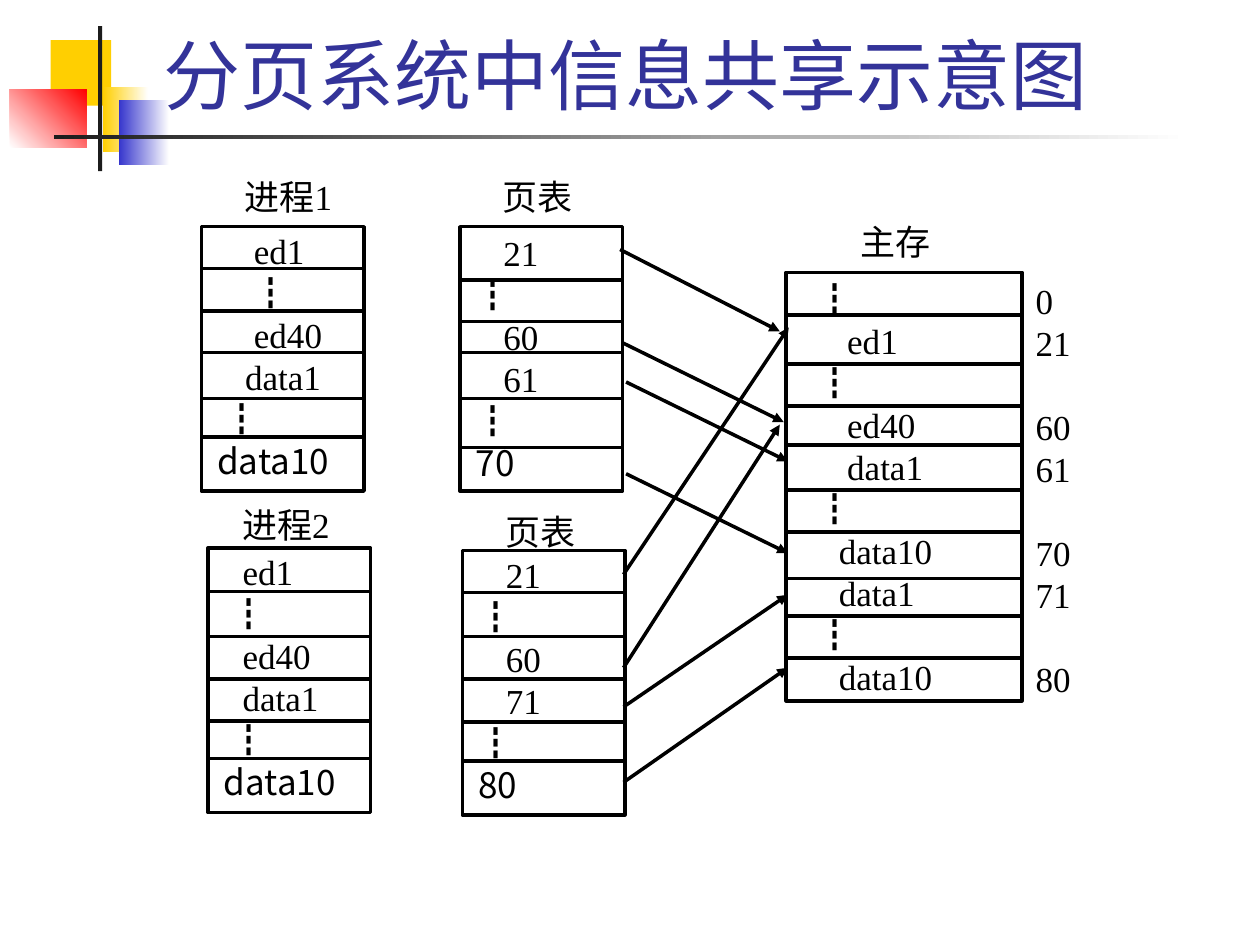
from collections import namedtuple
from dataclasses import dataclass

from lxml import etree
from pptx import Presentation
from pptx import util as u
from pptx.dml.color import RGBColor
from pptx.enum import shapes, text
from pptx.oxml.ns import qn


@dataclass(frozen=True)
class Theme:
    ink: str = "000000"
    paper: str = "FFFFFF"
    title: str = "333399"
    yellow: str = "FFCF01"
    blue: str = "3333CC"
    red: str = "FF0000"
    bar: str = "1C1C1C"
    title_font: str = "Cabin"
    serif: str = "Times New Roman"
    sans: str = "Noto Sans CJK SC"
    title_size: int = 44
    body_size: int = 20
    line_pitch: int = 24
    line_width: int = 2


THEME = Theme()
Row = namedtuple("Row", "text indent font space_before", defaults=(0, THEME.serif, 0))
Block = namedtuple("Block", "label label_at box inset rules rows")


def dots(indent):
    return Row("┇", indent, THEME.sans)


def last(label):
    return Row(label, 0.32, THEME.sans)


class SlideBuilder:
    def __init__(self, slide, theme):
        self.slide = slide
        self.theme = theme

    def fill_text(self, frame, rows, size, color, pitch=None):
        """Fill a text frame with one paragraph per row."""
        frame.word_wrap = True
        for index, row in enumerate(rows):
            paragraph = frame.add_paragraph() if index else frame.paragraphs[0]
            paragraph.text = row.text
            paragraph.alignment = text.PP_ALIGN.JUSTIFY if pitch else text.PP_ALIGN.LEFT
            if pitch:
                paragraph.line_spacing = u.Pt(pitch)
            if row.space_before:
                paragraph.space_before = u.Pt(row.space_before)
            properties = paragraph._p.get_or_add_pPr()
            properties.set("marL", str(u.Cm(row.indent)))
            properties.set("indent", "0")
            font = paragraph.font
            font.name = row.font
            font.size = u.Pt(size)
            font.color.rgb = RGBColor.from_string(color)
            east_asian = etree.SubElement(properties.find(qn("a:defRPr")), qn("a:ea"))
            east_asian.set("typeface", self.theme.sans)

    def rectangle(self, box, fill, end=None, angle=0):
        """Draw a plain rectangle, fading from fill to end if end is given."""
        shape = self.slide.shapes.add_shape(
            shapes.MSO_SHAPE.RECTANGLE, *map(u.Cm, box))
        shape.shadow.inherit = False
        shape.line.fill.background()
        if end:
            shape.fill.gradient()
            shape.fill.gradient_angle = angle
            for stop, color in zip(shape.fill.gradient_stops, (fill, end)):
                stop.color.rgb = RGBColor.from_string(color)
        else:
            shape.fill.solid()
            shape.fill.fore_color.rgb = RGBColor.from_string(fill)
        return shape

    def text_box(self, box, rows):
        frame = self.slide.shapes.add_textbox(*map(u.Cm, box)).text_frame
        frame.margin_left = frame.margin_right = 0
        frame.margin_top = frame.margin_bottom = 0
        self.fill_text(frame, rows, self.theme.body_size, self.theme.ink,
                       self.theme.line_pitch)

    def title(self, box, label):
        frame = self.slide.shapes.add_textbox(*map(u.Cm, box)).text_frame
        frame.vertical_anchor = text.MSO_ANCHOR.BOTTOM
        self.fill_text(frame, [Row(label, font=self.theme.title_font)],
                       self.theme.title_size, self.theme.title)

    def line(self, start, end, arrow=False):
        connector = self.slide.shapes.add_connector(
            shapes.MSO_CONNECTOR.STRAIGHT, *map(u.Cm, (*start, *end)))
        connector.line.color.rgb = RGBColor.from_string(self.theme.ink)
        connector.line.width = u.Pt(self.theme.line_width)
        if arrow:
            head = etree.SubElement(connector.line._get_or_add_ln(), qn("a:tailEnd"))
            head.set("type", "triangle")
        etree.SubElement(connector._element.spPr, qn("a:effectLst"))

    def block(self, block):
        """Draw a labelled memory block divided by horizontal rules."""
        left, top, width, height = block.box
        shape = self.rectangle(block.box, self.theme.paper)
        shape.line.color.rgb = RGBColor.from_string(self.theme.ink)
        shape.line.width = u.Pt(self.theme.line_width)
        frame = shape.text_frame
        frame.vertical_anchor = text.MSO_ANCHOR.TOP
        frame.margin_left = frame.margin_right = 0
        frame.margin_top, frame.margin_bottom = u.Cm(block.inset), u.Cm(0.1)
        self.fill_text(frame, block.rows, self.theme.body_size, self.theme.ink,
                       self.theme.line_pitch)
        self.text_box((*block.label_at, 2.31, 0.99), [Row(block.label)])
        for y in block.rules:
            self.line((left, y), (left + width, y))


TABLE_SIZE = (3.28, 5.33)
BLOCKS = [
    Block("进程1", (4.93, 3.53), (4.06, 4.57, *TABLE_SIZE), 0.05,
          (5.41, 6.27, 7.11, 8.03, 8.81),
          [Row("ed1", 1.06), dots(1.06), Row("ed40", 1.06), Row("data1", 0.88),
           dots(0.47), last("data10")]),
    Block("进程2", (4.88, 10.16), (4.19, 11.05, *TABLE_SIZE), 0.05,
          (11.92, 12.83, 13.69, 14.53, 15.29),
          [Row("ed1", 0.7), dots(0.47), Row("ed40", 0.7), Row("data1", 0.7),
           dots(0.47), last("data10")]),
    Block("页表", (10.13, 3.53), (9.27, 4.57, *TABLE_SIZE), 0.1,
          (5.64, 6.48, 7.11, 8.03, 9.02),
          [Row("21", 0.88), dots(0.32), Row("60", 0.88), Row("61", 0.88),
           dots(0.32), last("70")]),
    Block("页表", (10.19, 10.29), (9.32, 11.1, *TABLE_SIZE), 0.05,
          (11.94, 12.83, 13.69, 14.55, 15.34),
          [Row("21", 0.88), dots(0.32), Row("60", 0.88), Row("71", 0.88),
           dots(0.32), last("80")]),
    Block("主存", (17.35, 4.45), (15.85, 5.49, 4.75, 8.64), 0.1,
          (6.35, 7.34, 8.18, 8.97, 9.88, 10.72, 11.66, 12.42, 13.26),
          [dots(0.63), Row("ed1", 1.23), dots(0.63), Row("ed40", 1.23),
           Row("data1", 1.23), dots(0.63), Row("data10", 1.06),
           Row("data1", 1.06), dots(0.63), Row("data10", 1.06)]),
]
PAGE_ARROWS = [
    ((12.5, 5.03), (15.72, 6.68)),
    ((12.55, 6.91), (15.8, 8.51)),
    ((12.62, 7.7), (15.88, 9.3)),
    ((12.62, 9.55), (15.88, 11.15)),
    ((12.57, 11.58), (15.9, 6.6)),
    ((12.57, 13.46), (15.72, 8.56)),
    ((12.57, 14.25), (15.88, 11.99)),
    ((12.57, 15.77), (15.88, 13.46)),
]
ADDRESS_GROUPS = [("0", "21"), ("60", "61"), ("70", "71"), ("80",)]


def main():
    presentation = Presentation()
    presentation.slide_width, presentation.slide_height = u.Cm(25.4), u.Cm(19.05)
    slide = presentation.slides.add_slide(presentation.slide_layouts[6])
    builder = SlideBuilder(slide, THEME)

    builder.rectangle((1.02, 0.81, 1.22, 1.32), THEME.yellow)
    builder.rectangle((2.08, 1.75, 0.91, 1.32), THEME.yellow, THEME.paper)
    builder.rectangle((2.39, 2.01, 1.02, 1.32), THEME.blue, THEME.paper)
    builder.rectangle((0.2, 1.8, 1.55, 1.17), THEME.paper, THEME.red, angle=45)
    builder.rectangle((1.98, 0.53, 0.08, 2.92), THEME.bar)
    builder.rectangle((1.09, 2.72, 22.86, 0.08), THEME.bar, THEME.paper)
    builder.title((3.05, 0.43, 21.64, 2.11), "分页系统中信息共享示意图")

    addresses = [
        Row(address, space_before=THEME.line_pitch if group and not place else 0)
        for group, members in enumerate(ADDRESS_GROUPS)
        for place, address in enumerate(members)
    ]
    builder.text_box((20.88, 5.64, 1.35, 8.48), addresses)
    for block in BLOCKS:
        builder.block(block)
    for start, end in PAGE_ARROWS:
        builder.line(start, end, arrow=True)

    presentation.save("out.pptx")


if __name__ == "__main__":
    main()
